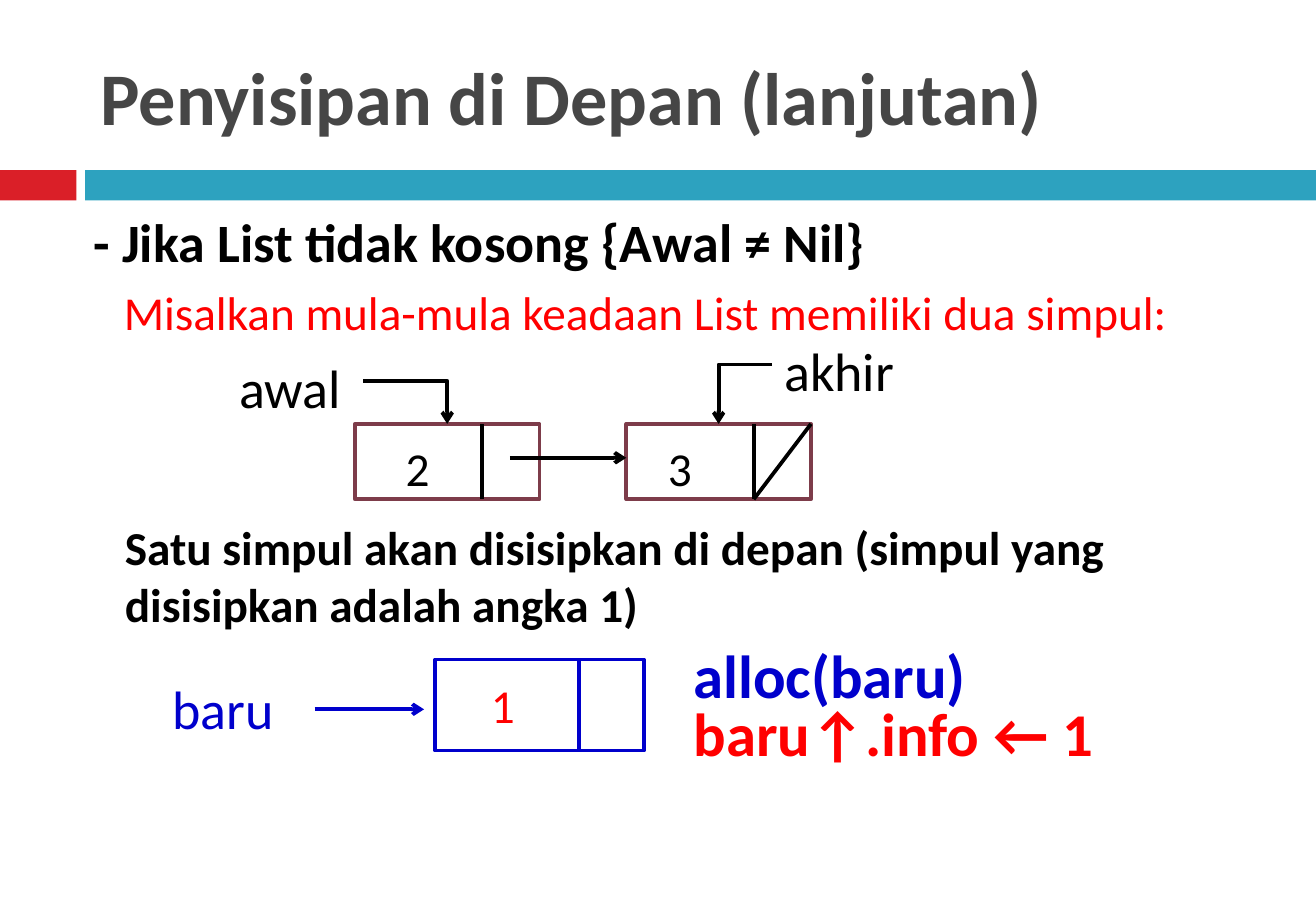
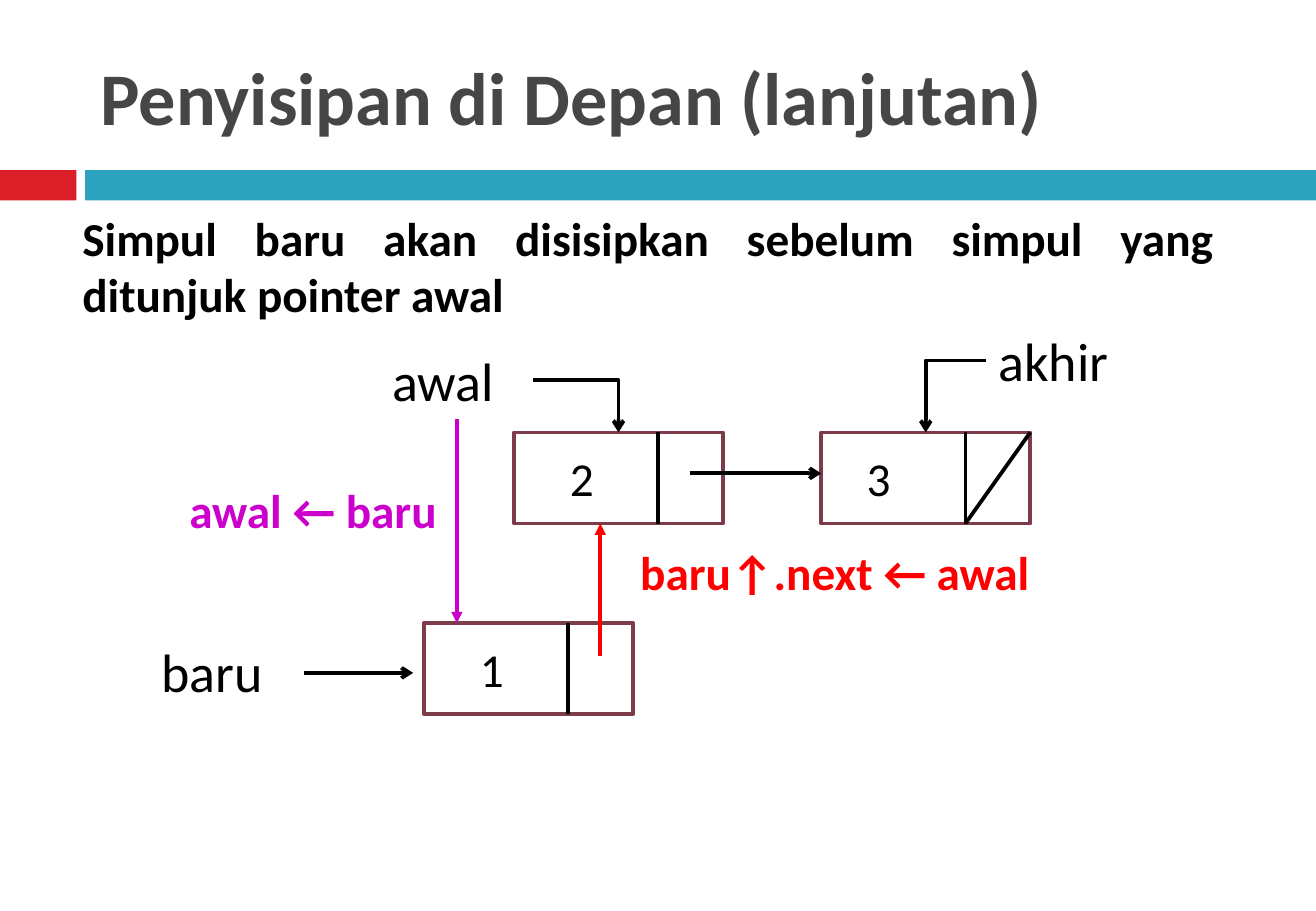
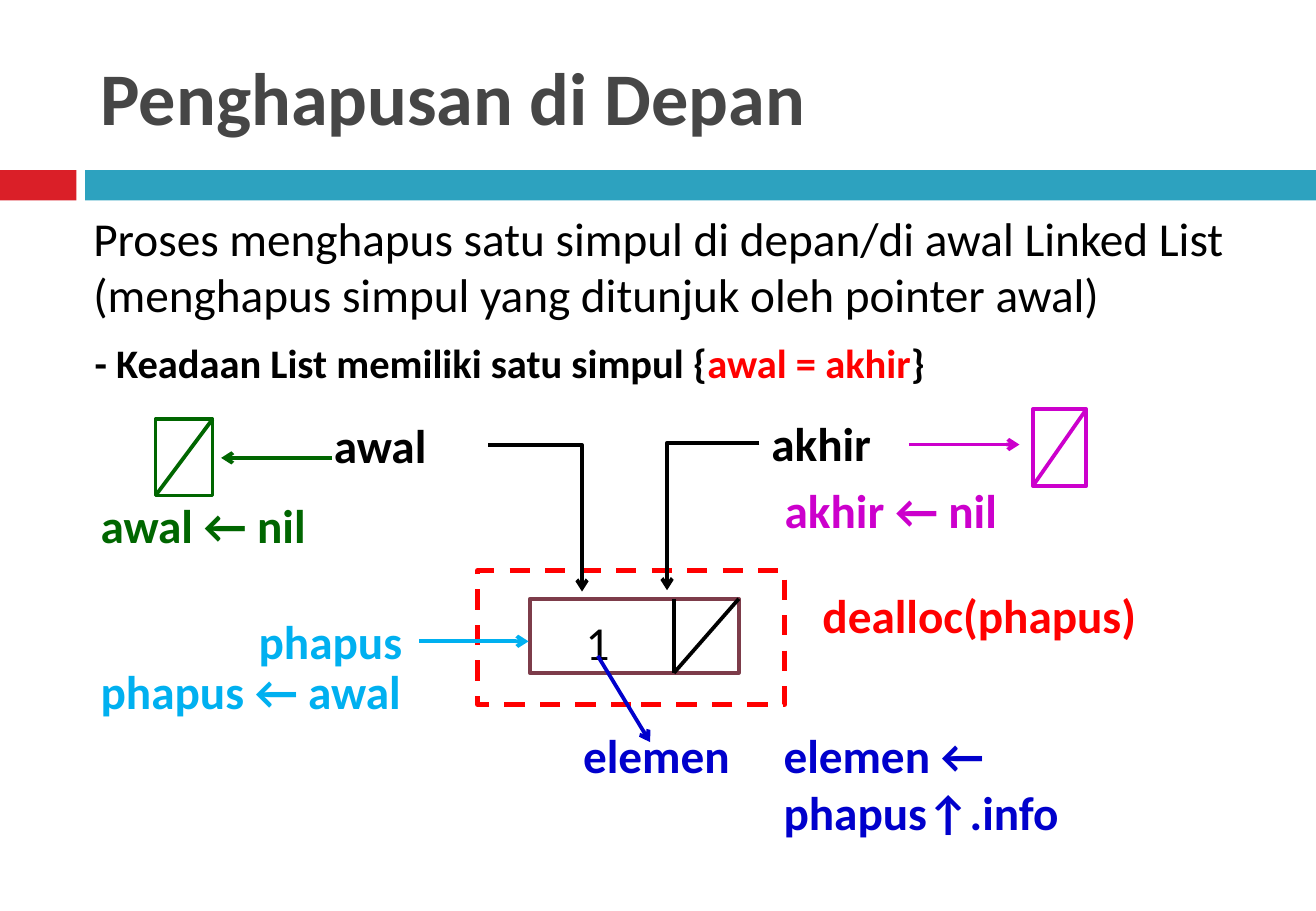
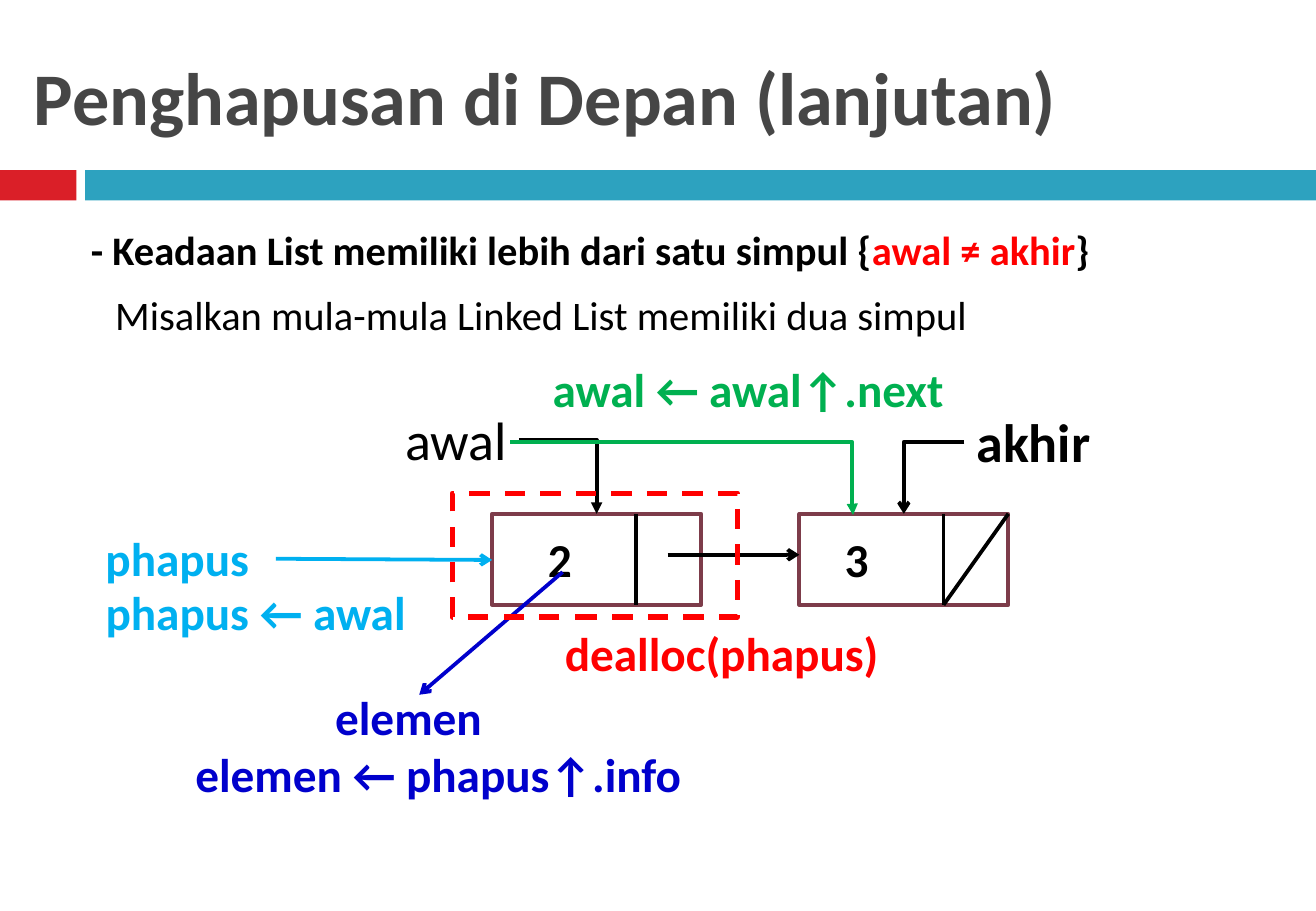
from dataclasses import dataclass
from typing import NamedTuple

from pptx import Presentation
from pptx.dml.color import RGBColor
from pptx.enum.dml import MSO_LINE
from pptx.enum.shapes import MSO_CONNECTOR, MSO_SHAPE
from pptx.enum.text import MSO_ANCHOR, PP_ALIGN
from pptx.oxml.ns import qn
from pptx.util import Inches, Pt
from lxml import etree

RECTANGLE = MSO_SHAPE.RECTANGLE
STRAIGHT, ELBOW = MSO_CONNECTOR.STRAIGHT, MSO_CONNECTOR.ELBOW
DASH = MSO_LINE.DASH
LEFT, RIGHT, JUSTIFY = PP_ALIGN.LEFT, PP_ALIGN.RIGHT, PP_ALIGN.JUSTIFY
TOP, MIDDLE = MSO_ANCHOR.TOP, MSO_ANCHOR.MIDDLE
TOP_SITE, LEFT_SITE, RIGHT_SITE = 0, 1, 3


@dataclass(frozen=True)
class Theme:
    font: str = "Calibri"
    title_ink: str = "464646"
    band_red: str = "DA1F28"
    band_teal: str = "2DA2BF"
    black: str = "000000"
    white: str = "FFFFFF"
    maroon: str = "7D3C4A"
    red: str = "FF0000"
    blue: str = "0000CC"
    sky: str = "00B0F0"
    magenta: str = "CC00CC"
    forest: str = "006600"
    green: str = "00B050"
    title: int = 44
    code: int = 36
    large: int = 32
    body: int = 28
    small: int = 24
    stroke: float = 2.25
    heavy: float = 3


THEME = Theme()


class Box(NamedTuple):
    left: float
    top: float
    width: float
    height: float

    def inches(self):
        return [Inches(length) for length in self]

    def point(self, across, down):
        return self.left + across * self.width, self.top + down * self.height

    def scaled(self, across, down, width, height):
        return Box(*self.point(across, down), width * self.width, height * self.height)


def rgb(color):
    return RGBColor.from_string(color)


def add_text(slide, box, text, size=THEME.body, color=THEME.black, bold=False,
             align=LEFT, anchor=TOP):
    label = slide.shapes.add_textbox(*box.inches())
    frame = label.text_frame
    frame.word_wrap = True
    frame.vertical_anchor = anchor
    paragraph = frame.paragraphs[0]
    paragraph.alignment = align
    pieces = [(text, color)] if isinstance(text, str) else text
    for words, ink in pieces:
        run = paragraph.add_run()
        run.text = words
        run.font.name = THEME.font
        run.font.size = Pt(size)
        run.font.bold = bold
        run.font.color.rgb = rgb(ink)
    return label


def add_rect(slide, box, fill=None, line=None, weight=THEME.stroke, dash=None):
    rect = slide.shapes.add_shape(RECTANGLE, *box.inches())
    rect.shadow.inherit = False
    if fill:
        rect.fill.solid()
        rect.fill.fore_color.rgb = rgb(fill)
    else:
        rect.fill.background()
    if line:
        rect.line.color.rgb = rgb(line)
        rect.line.width = Pt(weight)
        rect.line.dash_style = dash
    else:
        rect.line.fill.background()
    return rect


def add_line(slide, start, end, color=THEME.black, tip=None, kind=STRAIGHT):
    ends = [Inches(length) for length in (*start, *end)]
    line = slide.shapes.add_connector(kind, *ends)
    line.line.color.rgb = rgb(color)
    line.line.width = Pt(THEME.stroke)
    properties = line._element.spPr
    if tip:
        etree.SubElement(properties.find(qn("a:ln")), qn("a:tailEnd"), type=tip)
    etree.SubElement(properties, qn("a:effectLst"))
    return line


def add_elbow(slide, start, end, source=None, target=None, color=THEME.black,
              tip="arrow", bend=None):
    elbow = add_line(slide, start, end, color, tip, ELBOW)
    geometry = elbow._element.spPr.find(qn("a:prstGeom"))
    if bend is None:
        geometry.set("prst", "bentConnector2")
    else:
        guides = geometry.find(qn("a:avLst"))
        etree.SubElement(guides, qn("a:gd"), name="adj1", fmla=f"val {bend}")
    if source:
        elbow.begin_connect(*source)
    if target:
        elbow.end_connect(target, TOP_SITE)
    return elbow


def add_page(deck, title, title_left=0.73):
    slide = deck.slides.add_slide(deck.slide_layouts[6])
    add_rect(slide, Box(0, 1.4, 0.63, 0.25), THEME.band_red)
    add_rect(slide, Box(0.7, 1.4, 10.13, 0.25), THEME.band_teal)
    add_text(slide, Box(title_left, 0.25, 9.66, 1.08), title, size=THEME.title,
             color=THEME.title_ink, bold=True, anchor=MIDDLE)
    return slide


def add_node(slide, box, value, outline=THEME.maroon, divider=THEME.black,
             ink=THEME.black, bold=False, nil=False, indent=0.21, drop=0.12):
    node = add_rect(slide, box, THEME.white, outline)
    split = 0.69
    add_line(slide, box.point(split, 0), box.point(split, 1), divider)
    if nil:
        add_line(slide, box.point(1, 0), box.point(split, 1), divider)
    add_text(slide, box.scaled(indent, drop, 0.37, 0.76), value, color=ink, bold=bold)
    return node


def add_nil(slide, box, color):
    add_rect(slide, box, THEME.white, color)
    add_line(slide, box.point(1, 0), box.point(0, 1), color)


def add_linked_pair(slide, first_box, bold=False):
    last_box = first_box.scaled(1.47, 0, 1, 1)
    first = add_node(slide, first_box, "2", bold=bold)
    last = add_node(slide, last_box, "3", bold=bold, nil=True, indent=0.16)
    add_line(slide, first_box.point(0.84, 0.45), last_box.point(0, 0.45), tip="arrow")
    label_box = last_box.scaled(0.79, -1.22, 0.74, 0.86)
    akhir = add_text(slide, label_box, "akhir", size=THEME.large, bold=bold)
    add_elbow(slide, label_box.point(0, 0.5), last_box.point(0.5, 0),
              (akhir, LEFT_SITE), last)
    return first


def add_awal(slide, box, first_box, first, align=LEFT, tip="arrow"):
    awal = add_text(slide, box, "awal", size=THEME.large, align=align)
    add_elbow(slide, box.point(1, 0.5), first_box.point(0.5, 0),
              (awal, RIGHT_SITE), first, tip=tip)


def add_new_node(slide, left, top, outline=THEME.maroon, stroke=THEME.black,
                 ink=THEME.black):
    add_text(slide, Box(left, top + 0.08, 1.26, 0.64), "baru", size=THEME.large,
             color=stroke)
    add_line(slide, (left + 1.27, top + 0.41), (left + 2.17, top + 0.41), stroke, "arrow")
    add_node(slide, Box(left + 2.26, top, 1.72, 0.75), "1", outline, stroke, ink)


def add_steps(slide, steps):
    for left, top, width, text, color in steps:
        add_text(slide, Box(left, top, width, 0.57), text, color=color, bold=True)


def build_insert_setup(deck):
    slide = add_page(deck, "Penyisipan di Depan (lanjutan)")
    add_text(slide, Box(0.67, 1.67, 9.66, 0.83), "- Jika List tidak kosong {Awal ≠ Nil}",
             size=THEME.large, bold=True)
    add_text(slide, Box(0.92, 2.28, 9.19, 0.57),
             "Misalkan mula-mula keadaan List memiliki dua simpul:", color=THEME.red)
    first_box = Box(2.92, 3.49, 1.52, 0.62)
    first = add_linked_pair(slide, first_box)
    add_awal(slide, Box(1.87, 2.87, 1.12, 0.53), first_box, first)
    add_text(slide, Box(0.93, 4.22, 9.76, 1.04),
             "Satu simpul akan disisipkan di depan (simpul yang disisipkan adalah angka 1)",
             bold=True)
    add_new_node(slide, 1.32, 5.43, THEME.blue, THEME.blue, THEME.red)
    for top, text, color in ((5.2, "alloc(baru)", THEME.blue),
                             (5.68, "baru↑.info ← 1", THEME.red)):
        add_text(slide, Box(5.61, top, 4.58, 0.75), text, size=THEME.code,
                 color=color, bold=True)


def build_insert_links(deck):
    slide = add_page(deck, "Penyisipan di Depan (lanjutan)")
    add_text(slide, Box(0.58, 1.67, 9.5, 1.04),
             "Simpul baru akan disisipkan sebelum simpul yang ditunjuk pointer awal",
             bold=True, align=JUSTIFY)
    add_new_node(slide, 1.23, 5.13)
    first_box = Box(4.23, 3.56, 1.72, 0.75)
    first = add_linked_pair(slide, first_box)
    add_awal(slide, Box(3.13, 2.81, 1.26, 0.64), first_box, first)
    add_steps(slide, (
        (5.17, 4.42, 4.42, "baru↑.next ← awal", THEME.red),
        (1.46, 3.91, 2.5, "awal ← baru", THEME.magenta),
    ))
    add_line(slide, (3.76, 3.45), (3.76, 5.13), THEME.magenta, "triangle")
    add_line(slide, (4.94, 5.4), (4.94, 4.31), THEME.red, "triangle")


def build_delete_single(deck):
    slide = add_page(deck, "Penghapusan di Depan")
    add_text(slide, Box(0.67, 1.67, 9.72, 1.3),
             "Proses menghapus satu simpul di depan/di awal Linked List "
             "(menghapus simpul yang ditunjuk oleh pointer awal)")
    add_text(slide, Box(0.68, 2.73, 9.66, 0.67),
             [("- Keadaan List memiliki satu simpul {", THEME.black),
              ("awal = akhir", THEME.red), ("}", THEME.black)],
             size=THEME.small, bold=True)
    add_nil(slide, Box(1.28, 3.45, 0.47, 0.63), THEME.forest)
    add_nil(slide, Box(8.5, 3.37, 0.44, 0.63), THEME.magenta)
    add_rect(slide, Box(3.93, 4.7, 2.53, 1.1), line=THEME.red, weight=THEME.heavy, dash=DASH)
    add_node(slide, Box(4.36, 4.93, 1.72, 0.61), "1", nil=True)
    awal_box, akhir_box = Box(2.65, 3.38, 1.37, 0.57), Box(6.25, 3.36, 1.37, 0.57)
    awal = add_text(slide, awal_box, "awal", bold=True)
    akhir = add_text(slide, akhir_box, "akhir", bold=True)
    add_elbow(slide, awal_box.point(1, 0.5), (4.79, 4.87), (awal, RIGHT_SITE))
    add_elbow(slide, akhir_box.point(0, 0.5), (5.49, 4.86), (akhir, LEFT_SITE))
    add_steps(slide, (
        (2.03, 4.99, 1.45, "phapus", THEME.sky),
        (0.73, 5.4, 3.28, "phapus ← awal", THEME.sky),
        (6.67, 4.78, 3.98, "dealloc(phapus)", THEME.red),
        (0.73, 4.04, 2.97, "awal ← nil", THEME.forest),
        (6.36, 3.91, 2.97, "akhir ← nil", THEME.magenta),
        (4.7, 5.93, 2.25, "elemen", THEME.blue),
        (6.35, 5.93, 4.14, "elemen ← phapus↑.info", THEME.blue),
    ))
    for start, end, color in (((2.73, 3.77), (1.82, 3.77), THEME.forest),
                              ((7.48, 3.66), (8.39, 3.66), THEME.magenta),
                              ((3.45, 5.28), (4.35, 5.28), THEME.sky),
                              ((4.92, 5.4), (5.35, 6.11), THEME.blue)):
        add_line(slide, start, end, color, "arrow")


def build_delete_first(deck):
    slide = add_page(deck, "Penghapusan di Depan (lanjutan)", title_left=0.18)
    add_text(slide, Box(0.65, 1.8, 9.66, 0.67),
             [("- Keadaan List memiliki lebih dari satu simpul {", THEME.black),
              ("awal ≠ akhir", THEME.red), ("}", THEME.black)],
             size=THEME.small, bold=True)
    add_text(slide, Box(0.85, 2.34, 9.66, 0.67),
             "Misalkan mula-mula Linked List memiliki dua simpul", size=THEME.small)
    first_box = Box(4.05, 4.23, 1.72, 0.75)
    first = add_linked_pair(slide, first_box, bold=True)
    add_awal(slide, Box(3.19, 3.3, 1.08, 0.64), first_box, first, RIGHT, "triangle")
    add_elbow(slide, (4.2, 3.64), (7.02, 4.24), color=THEME.green, tip="triangle",
              bend=99800)
    add_steps(slide, (
        (0.77, 4.31, 1.5, "phapus", THEME.sky),
        (0.77, 4.75, 2.81, "phapus ← awal", THEME.sky),
        (2.66, 5.62, 1.62, "elemen", THEME.blue),
        (1.51, 6.09, 4.3, "elemen ← phapus↑.info", THEME.blue),
        (4.45, 2.92, 3.75, "awal ← awal↑.next", THEME.green),
        (4.55, 5.09, 2.81, "dealloc(phapus)", THEME.red),
    ))
    add_line(slide, (2.27, 4.6), (4.05, 4.61), THEME.sky, "arrow")
    add_line(slide, (4.63, 4.71), (3.45, 5.72), THEME.blue, "arrow")
    add_rect(slide, Box(3.72, 4.06, 2.35, 1.02), line=THEME.red, weight=THEME.heavy,
             dash=DASH)


def main():
    deck = Presentation()
    deck.slide_width, deck.slide_height = Inches(10.83), Inches(7.5)
    for build in (build_insert_setup, build_insert_links,
                  build_delete_single, build_delete_first):
        build(deck)
    deck.save("out.pptx")


if __name__ == "__main__":
    main()
